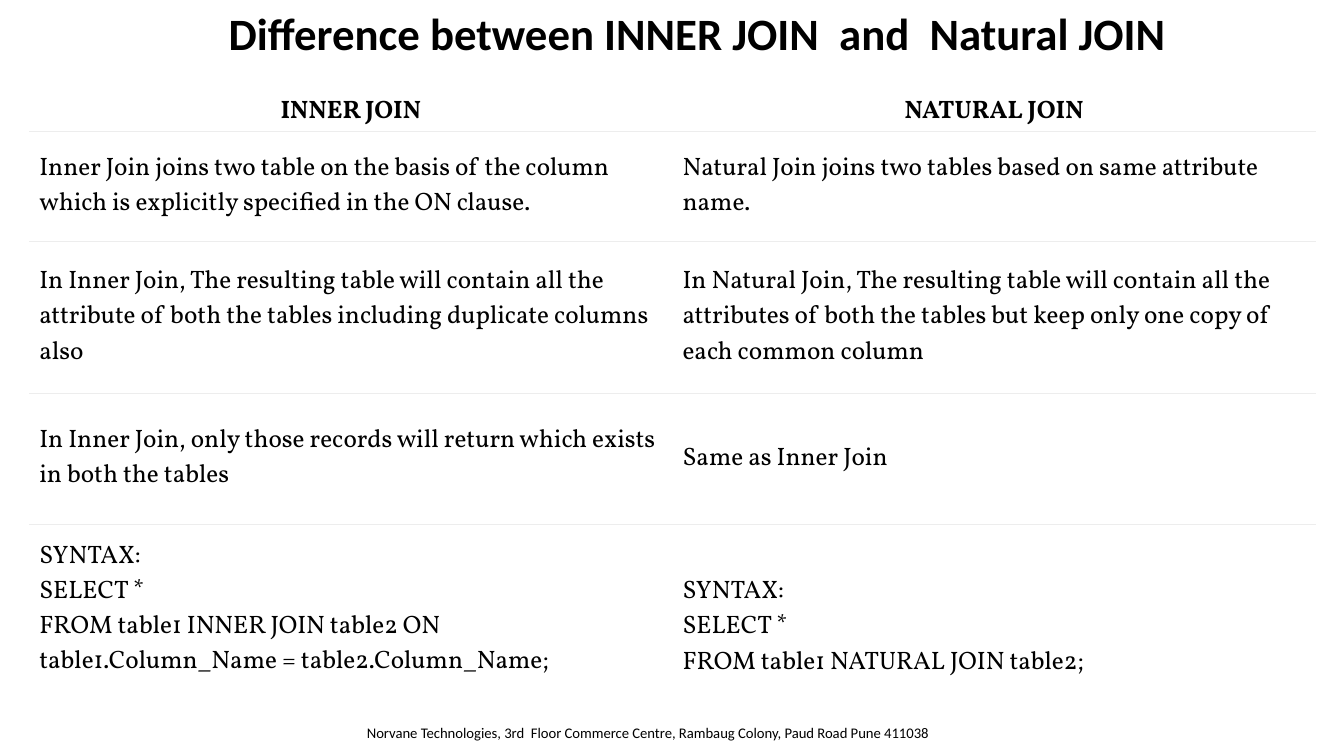
from dataclasses import dataclass
from typing import Any

from lxml import etree
from pptx import Presentation
from pptx import util as u
from pptx.dml.color import RGBColor
from pptx.enum import text
from pptx.oxml import ns


@dataclass(frozen=True)
class Theme:
    ink: RGBColor = RGBColor(0, 0, 0)
    paper: RGBColor = RGBColor(255, 255, 255)
    rule: str = "EDEDED"
    rule_width: float = 0.75
    sans: str = "Calibri"
    serif: str = "Vollkorn"
    title_size: float = 32
    table_size: float = 18
    footer_size: float = 10.5
    plain_style: str = "{2D5ABB26-0587-4C30-8999-92F81FD0307C}"


@dataclass(frozen=True)
class Row:
    height: float
    inner: str
    natural: str
    header: bool = False
    natural_top: float = 0.05


THEME = Theme()
ROWS = [
    Row(0.31, "INNER JOIN", "NATURAL JOIN", header=True),
    Row(1.1,
        "Inner Join joins two table on the basis of the column which is "
        "explicitly specified in the ON clause.",
        "Natural Join joins two tables based on same attribute name."),
    Row(1.5,
        "In Inner Join, The resulting table will contain all the attribute "
        "of both the tables including duplicate columns also",
        "In Natural Join, The resulting table will contain all the attributes "
        "of both the tables but keep only one copy of each common column"),
    Row(1.3,
        "In Inner Join, only those records will return which exists in both "
        "the tables",
        "Same as Inner Join"),
    Row(1.7,
        "SYNTAX:\vSELECT *\vFROM table1 INNER JOIN table2 ON "
        "table1.Column_Name = table2.Column_Name;",
        "SYNTAX:\vSELECT *\vFROM table1 NATURAL JOIN table2;",
        natural_top=0.4),
]


def apply(obj: Any, values: dict[str, Any]) -> None:
    for name, value in values.items():
        setattr(obj, name, value)


def box(left: float, top: float, width: float, height: float) -> dict[str, u.Length]:
    return {"left": u.Inches(left), "top": u.Inches(top),
            "width": u.Inches(width), "height": u.Inches(height)}


def write(tf: Any, content: str, font: str, size: float, bold: bool,
          align: text.PP_ALIGN) -> None:
    p = tf.paragraphs[0]
    p.text = content
    p.alignment = align
    for r in p.runs:
        apply(r.font, {"name": font, "size": u.Pt(size), "bold": bold})
        r.font.color.rgb = THEME.ink


def add_title(s: Any) -> None:
    sp = s.shapes.title
    apply(sp, box(1.67, 0, 10, 0.64))
    sp.fill.solid()
    sp.fill.fore_color.rgb = THEME.paper
    apply(sp.text_frame, {"word_wrap": True,
                          "auto_size": text.MSO_AUTO_SIZE.NONE,
                          "vertical_anchor": text.MSO_ANCHOR.MIDDLE})
    write(sp.text_frame, "Difference between INNER JOIN  and  Natural JOIN",
          THEME.sans, THEME.title_size, True, text.PP_ALIGN.RIGHT)


def add_footer(s: Any) -> None:
    tf = s.shapes.add_textbox(**box(3.54, 7.13, 5.91, 0.4)).text_frame
    tf.word_wrap = True
    write(tf, "Norvane Technologies, 3rd  Floor Commerce Centre, "
              "Rambaug Colony, Paud Road Pune 411038",
          THEME.sans, THEME.footer_size, False, text.PP_ALIGN.LEFT)


def rule_cell(cell: Any, ruled: set[str]) -> None:
    tc_pr = cell._tc.get_or_add_tcPr()
    for side in ("lnL", "lnR", "lnT", "lnB"):
        ln = etree.SubElement(tc_pr, ns.qn(f"a:{side}"), w=str(u.Pt(THEME.rule_width)))
        if side in ruled:
            fill = etree.SubElement(ln, ns.qn("a:solidFill"))
            etree.SubElement(fill, ns.qn("a:srgbClr"), val=THEME.rule)
        else:
            etree.SubElement(ln, ns.qn("a:noFill"))


def fill_cell(cell: Any, content: str, header: bool, top: float, ruled: set[str]) -> None:
    side, bottom = (0.06, 0.06) if header else (0.1, 0.05)
    apply(cell, {"vertical_anchor": text.MSO_ANCHOR.MIDDLE,
                 "margin_left": u.Inches(side), "margin_right": u.Inches(side),
                 "margin_top": u.Inches(bottom if header else top),
                 "margin_bottom": u.Inches(bottom)})
    rule_cell(cell, ruled)
    if header:
        cell.fill.background()
    else:
        cell.fill.solid()
        cell.fill.fore_color.rgb = THEME.paper
    write(cell.text_frame, content, THEME.serif, THEME.table_size, header,
          text.PP_ALIGN.CENTER if header else text.PP_ALIGN.LEFT)


def add_comparison(s: Any) -> None:
    height = sum(row.height for row in ROWS)
    table = s.shapes.add_table(len(ROWS), 2, **box(0.29, 0.88, 12.76, height)).table
    apply(table, {"first_row": False, "horz_banding": False})
    table._tbl.tblPr.find(ns.qn("a:tableStyleId")).text = THEME.plain_style
    last = len(ROWS) - 1
    for i, row in enumerate(ROWS):
        table.rows[i].height = u.Inches(row.height)
        ruled = {"lnT"} if i == last else {"lnB"} if i == 0 else {"lnT", "lnB"}
        fill_cell(table.cell(i, 0), row.inner, row.header, 0.05, ruled)
        fill_cell(table.cell(i, 1), row.natural, row.header, row.natural_top, ruled)


def main() -> None:
    prs = Presentation()
    apply(prs, {"slide_width": u.Inches(13.33), "slide_height": u.Inches(7.5)})
    s = prs.slides.add_slide(prs.slide_layouts[5])
    add_title(s)
    add_footer(s)
    add_comparison(s)
    prs.save("out.pptx")


if __name__ == "__main__":
    main()
